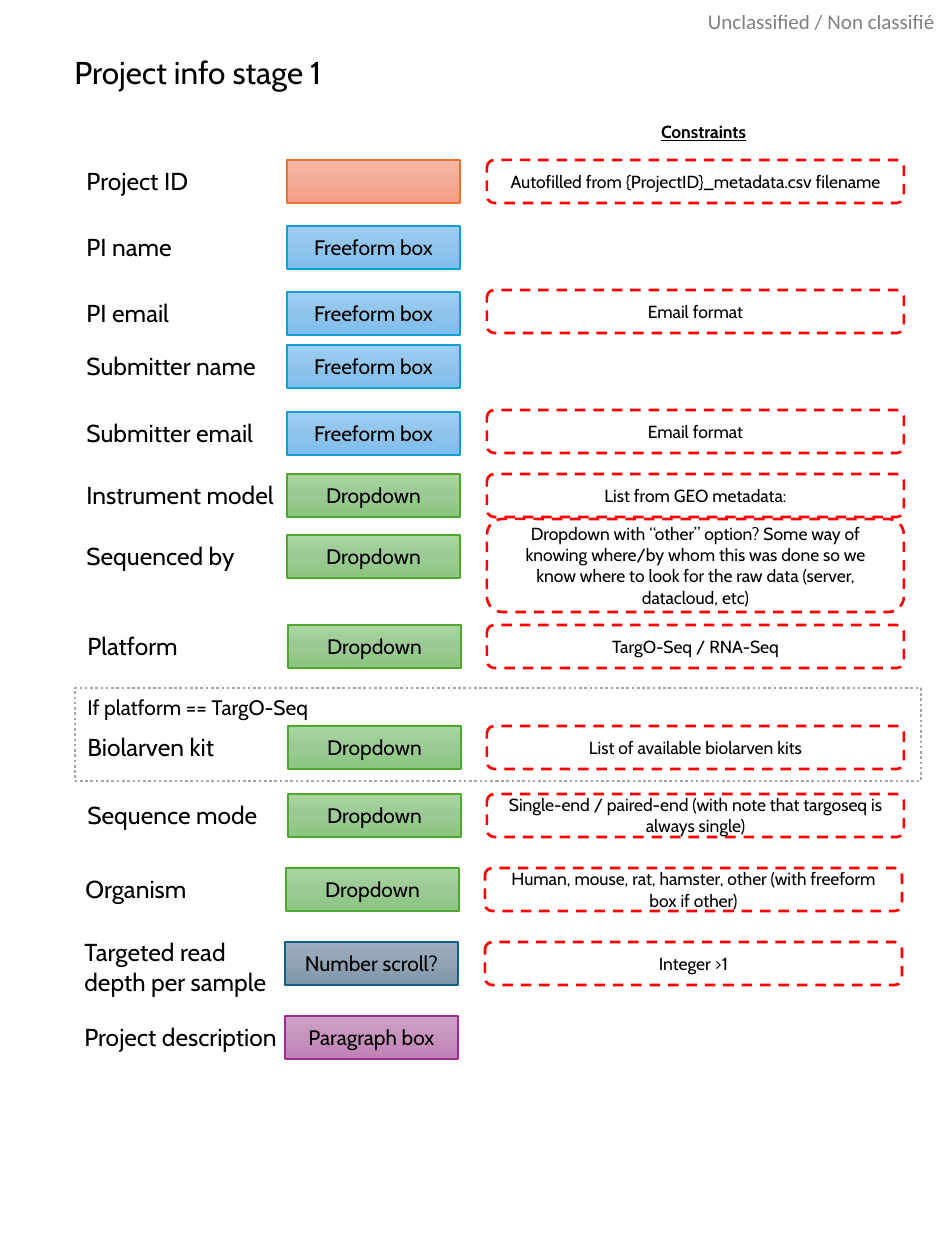
from copy import deepcopy
from dataclasses import dataclass

from lxml.etree import SubElement
from pptx import Presentation
from pptx.dml.color import RGBColor
from pptx.enum.dml import MSO_LINE
from pptx.enum.shapes import MSO_SHAPE
from pptx.enum.text import MSO_ANCHOR, MSO_AUTO_SIZE, PP_ALIGN
from pptx.oxml.ns import qn
from pptx.util import Pt

SCALE = 914400 / 126
HIGH = 43


@dataclass(frozen=True)
class Theme:
    font: str = "Cabin"
    mark_font: str = "Calibri"
    ink: str = "000000"
    rule: str = "FF0000"
    frame: str = "A6A6A6"
    title: int = 18
    label: int = 14
    box: int = 12
    note: int = 10
    thin: float = 1
    thick: float = 1.5


THEME = Theme()

KINDS = {
    "auto": ("", "E97132", ("F5B8A5", "F2AB96", "F59E82")),
    "free": ("Freeform box", "0F9ED5", ("9ECFF5", "90C4EB", "7CBEED")),
    "drop": ("Dropdown", "4EA72E", ("A8D5A0", "9CCA94", "8AC680")),
    "number": ("Number scroll?", "156082", ("9EAFBF", "91A3B4", "7C95AB")),
    "long": ("Paragraph box", "A02B93", ("D0A0C8", "C693BD", "C17FB6")),
}


@dataclass
class Row:
    top: int
    label: str
    wide: int
    kind: str
    note: str = ""
    shift: int = 0
    lift: int = 0
    tall: int = HIGH
    wrap: bool = False


ROWS = [
    Row(160, "Project ID", 130, "auto",
        "Autofilled from {ProjectID}_metadata.csv filename"),
    Row(226, "PI name", 112, "free"),
    Row(292, "PI email", 111, "free", "Email format", lift=2),
    Row(345, "Submitter name", 198, "free"),
    Row(412, "Submitter email", 197, "free", "Email format", lift=2),
    Row(474, "Instrument model", 217, "drop", "List from GEO metadata:"),
    Row(535, "Sequenced by", 176, "drop",
        "Dropdown with “other” option? Some way of knowing where/by whom this "
        "was done so we know where to look for the raw data (server, "
        "datacloud, etc)", lift=16, tall=93),
    Row(625, "Platform", 117, "drop", "TargO-Seq / RNA-Seq", shift=1),
    Row(726, "Biolarven kit", 163, "drop",
        "List of available biolarven kits", shift=1),
    Row(794, "Sequence mode", 200, "drop",
        "Single-end / paired-end (with note that targoseq is always single)",
        shift=1),
    Row(868, "Organism", 129, "drop",
        "Human, mouse, rat, hamster, other (with freeform box if other)",
        shift=-1),
    Row(942, "Targeted read depth per sample", 213, "number", "Integer >1",
        shift=-2, wrap=True),
    Row(1016, "Project description", 227, "long", shift=-2),
]


def px(*sizes):
    return [round(size * SCALE) for size in sizes]


def color(code):
    return RGBColor.from_string(code)


def style(font, size, name=THEME.font):
    font.name = name
    font.size = Pt(size)
    font.color.rgb = color(THEME.ink)


def add_text(slide, place, words, size, wrap=False):
    frame = slide.shapes.add_textbox(*px(*place)).text_frame
    frame.text = words
    frame.word_wrap = wrap
    frame.auto_size = MSO_AUTO_SIZE.SHAPE_TO_FIT_TEXT
    style(frame.paragraphs[0].runs[0].font, size)
    return frame


def add_mark(slide):
    frame = add_text(slide, (708, 9, 232, 25), "Unclassified / Non classifié",
                     THEME.box)
    frame.margin_left = frame.margin_right = 0
    frame.margin_top = frame.margin_bottom = 0
    run = frame.paragraphs[0].runs[0]
    style(run.font, THEME.box, THEME.mark_font)
    tint = next(run._r.iter(qn("a:srgbClr")))
    SubElement(tint, qn("a:alpha")).set("val", "50000")


def add_block(slide, form, place, words="", size=THEME.note):
    shape = slide.shapes.add_shape(form, *px(*place))
    shape.shadow.inherit = False
    shape.fill.background()
    shape.line.fill.background()
    if words:
        frame = shape.text_frame
        frame.text = words
        frame.word_wrap = True
        frame.vertical_anchor = MSO_ANCHOR.MIDDLE
        part = frame.paragraphs[0]
        part.alignment = PP_ALIGN.CENTER
        style(part.runs[0].font, size)
    return shape


def set_line(shape, code, width, dash=None):
    shape.line.color.rgb = color(code)
    shape.line.width = Pt(width)
    if dash:
        shape.line.dash_style = dash


def set_blend(shape, codes):
    shape.fill.gradient()
    shape.fill.gradient_angle = 270
    first = next(shape._element.spPr.iter(qn("a:gs")))
    first.addnext(deepcopy(first))
    for index, (stop, code) in enumerate(zip(shape.fill.gradient_stops, codes)):
        stop.position = index / 2
        stop.color.rgb = color(code)


def add_field(slide, left, top, kind):
    words, edge, codes = KINDS[kind]
    shape = add_block(slide, MSO_SHAPE.RECTANGLE, (left, top, 173, HIGH),
                      words, THEME.box)
    set_blend(shape, codes)
    set_line(shape, edge, THEME.thin)


def add_note(slide, left, top, tall, words):
    shape = add_block(slide, MSO_SHAPE.ROUNDED_RECTANGLE,
                      (left, top, 417, tall), words)
    set_line(shape, THEME.rule, THEME.thick, MSO_LINE.DASH)


def add_row(slide, row):
    top, tall = (row.top - 11, 72) if row.wrap else (row.top, HIGH)
    add_text(slide, (74 + row.shift, top, row.wide, tall), row.label,
             THEME.label, row.wrap)
    add_field(slide, 287 + row.shift, row.top, row.kind)
    if row.note:
        left = 485 if row.shift < 0 else 487
        add_note(slide, left, row.top - row.lift, row.tall, row.note)


def main():
    deck = Presentation()
    deck.slide_width, deck.slide_height = px(945, 1260)
    slide = deck.slides.add_slide(deck.slide_layouts[6])
    add_mark(slide)
    add_text(slide, (62, 47, 285, 50), "Project info stage 1", THEME.title)
    head = add_block(slide, MSO_SHAPE.ROUNDED_RECTANGLE, (485, 110, 437, HIGH),
                     "Constraints")
    font = head.text_frame.paragraphs[0].runs[0].font
    font.bold = font.underline = True
    add_text(slide, (75, 688, 260, 38), "If platform == TargO-Seq", THEME.box)
    group = add_block(slide, MSO_SHAPE.RECTANGLE, (75, 688, 846, 93))
    set_line(group, THEME.frame, THEME.thick, MSO_LINE.ROUND_DOT)
    for row in ROWS:
        add_row(slide, row)
    deck.save("out.pptx")


if __name__ == "__main__":
    main()
